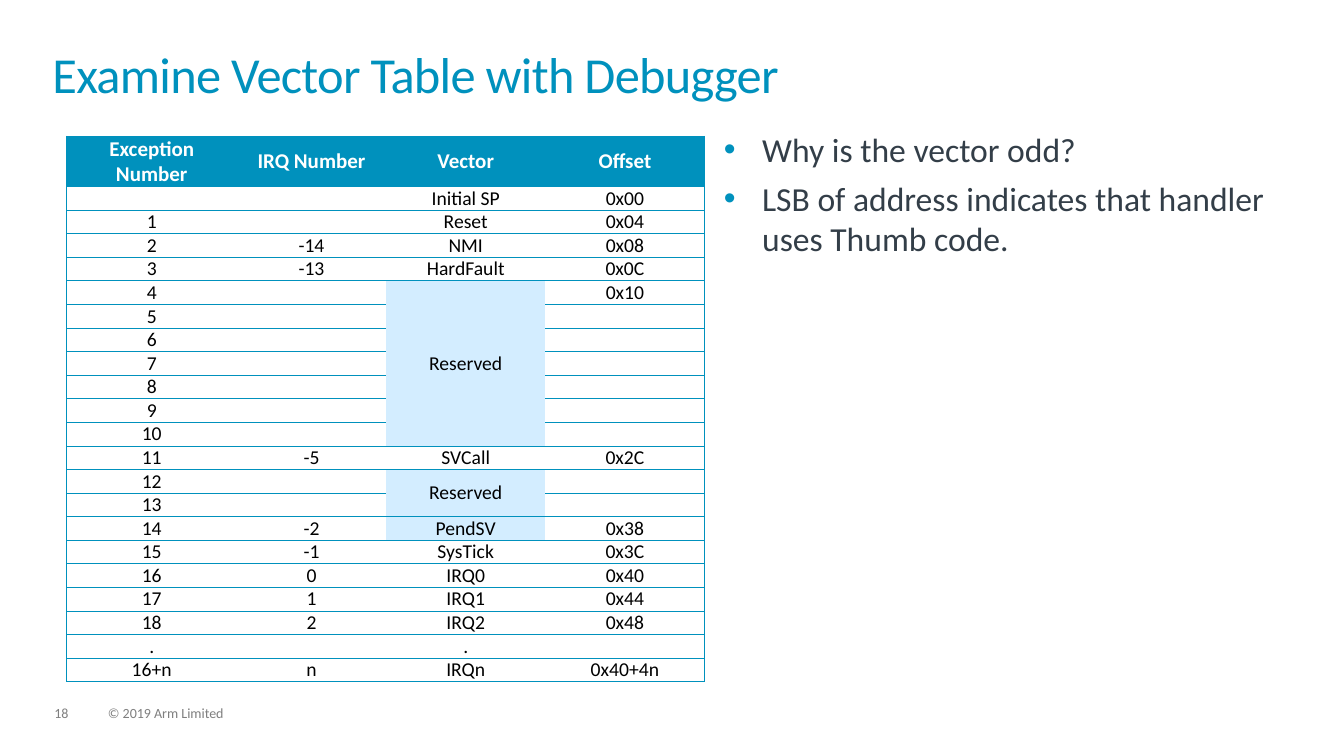
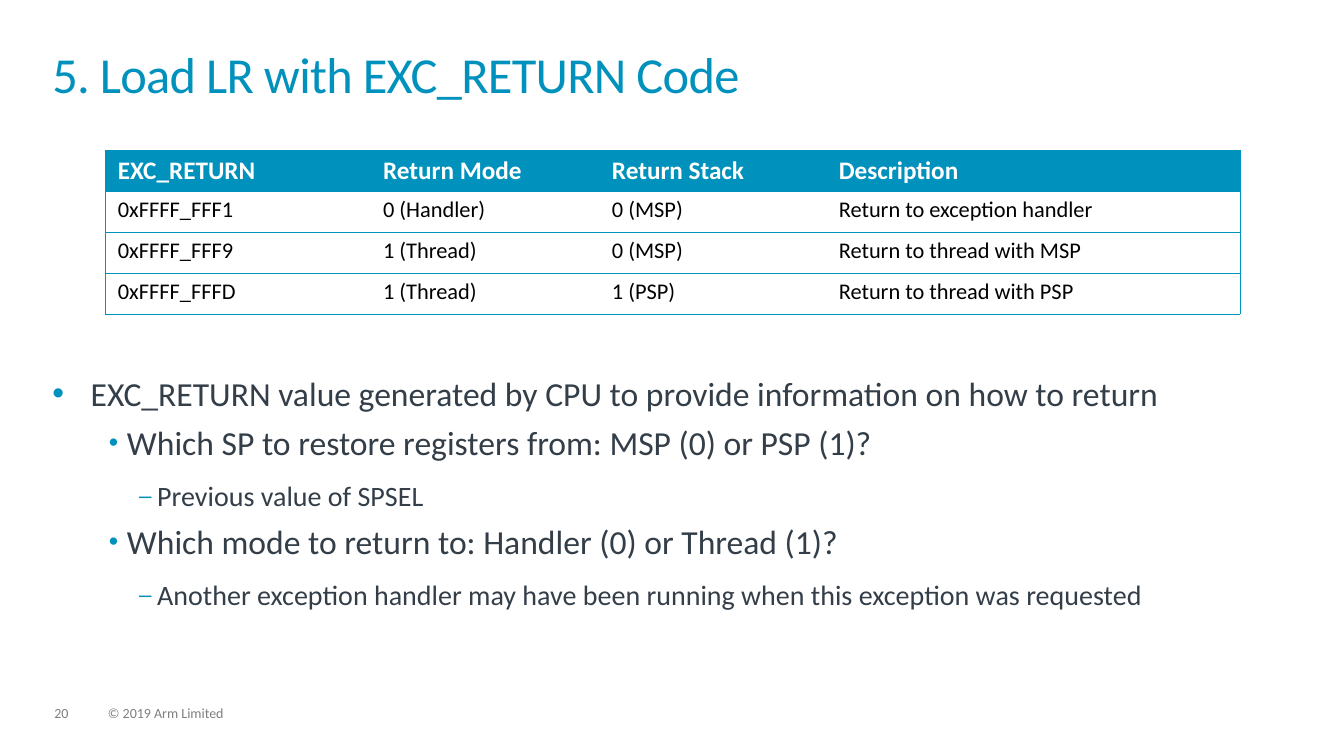
from lxml.etree import SubElement
from pptx import Presentation
from pptx.dml.color import RGBColor
from pptx.enum.text import MSO_ANCHOR as Anchor, PP_ALIGN as Align
from pptx.oxml.ns import qn
from pptx.util import Emu, Inches, Pt

BLUE, PALE, SLATE, GRAY = "0091BD", "D3EDFF", "333E48", "7F7F7F"
WHITE, BLACK = "FFFFFF", "000000"
NO_STYLE = "{2D5ABB26-0587-4C30-8999-92F81FD0307C}"

deck = Presentation()
deck.slide_width, deck.slide_height = Inches(13.33), Inches(7.5)
# Positions and sizes count columns and rows of a 100 by 100 grid.
COLUMN, ROW = deck.slide_width / 100, deck.slide_height / 100

# Bullet level: left indent and hanging indent in inches, size, sign, sign size, space after
LEVELS = [
    (0.38, 0.38, 24, "•", 100, 0),
    (0.74, 0.18, 24, "•", 80, 6),
    (1.04, 0.18, 20, "–", 80, 0),
]

vector_rows = [
    ("Exception Number", "IRQ Number", "Vector", "Offset"),
    ("", "", "Initial SP", "0x00"),
    ("1", "", "Reset", "0x04"),
    ("2", "-14", "NMI", "0x08"),
    ("3", "-13", "HardFault", "0x0C"),
    ("4", "", "Reserved", "0x10"),
    *[(str(number), "", "", "") for number in range(5, 11)],
    ("11", "-5", "SVCall", "0x2C"),
    ("12", "", "Reserved", ""),
    ("13", "", "", ""),
    ("14", "-2", "PendSV", "0x38"),
    ("15", "-1", "SysTick", "0x3C"),
    ("16", "0", "IRQ0", "0x40"),
    ("17", "1", "IRQ1", "0x44"),
    ("18", "2", "IRQ2", "0x48"),
    (".", "", ".", ""),
    ("16+n", "n", "IRQn", "0x40+4n"),
]
return_rows = [
    ("EXC_RETURN", "Return Mode", "Return Stack", "Description"),
    ("0xFFFF_FFF1", "0 (Handler)", "0 (MSP)", "Return to exception handler"),
    ("0xFFFF_FFF9", "1 (Thread)", "0 (MSP)", "Return to thread with MSP"),
    ("0xFFFF_FFFD", "1 (Thread)", "1 (PSP)", "Return to thread with PSP"),
]

slides = [
    {
        "number": "18",
        "title": "Examine Vector Table with Debugger",
        "body_at": (53.86, 17.07, 42.24, 72.13),
        "bullets": [
            (0, "Why is the vector odd?"),
            (0, "LSB of address indicates that handler uses Thumb code."),
        ],
        "rows": vector_rows,
        "table_at": (4.95, 18),
        "widths": (12.68, 11.1, 11.85, 11.85),
        "row_height": 3.07,
        "sizes": (15, 14),
        "margins": (0.1, 0),
        "align": Align.CENTER,
        "anchor": Anchor.MIDDLE,
        "merges": [(5, 11), (13, 14)],
        "shaded": [5, 13, 15],
    },
    {
        "number": "20",
        "title": "5. Load LR with EXC_RETURN Code",
        "body_at": (3.9, 49.33, 92.12, 42.93),
        "bullets": [
            (0, "EXC_RETURN value generated by CPU to provide information on how to return"),
            (1, "Which SP to restore registers from: MSP (0) or PSP (1)?"),
            (2, "Previous value of SPSEL"),
            (1, "Which mode to return to: Handler (0) or Thread (1)?"),
            (2, "Another exception handler may have been running when this exception was requested"),
        ],
        "rows": return_rows,
        "table_at": (7.8, 19.87),
        "widths": (19.73, 17.03, 16.88, 30.83),
        "row_height": 5.42,
        "sizes": (18, 16),
        "margins": (0.13, 0.05),
        "align": Align.LEFT,
        "anchor": Anchor.TOP,
        "merges": [],
        "shaded": [],
    },
]


def write(paragraph, text, size, color, bold=False):
    """Set the text of a paragraph; an empty one still takes the text size."""
    paragraph.text = text
    for span in paragraph.runs:
        span.font.name = "Calibri"
        span.font.size = Pt(size)
        span.font.bold = bold
        span.font.color.rgb = RGBColor.from_string(color)
    if not text:
        SubElement(paragraph._p, qn("a:endParaRPr"), sz=str(size * 100))


def add_frame(page, left, top, width, height):
    """Add a wrapping text box without margins, placed on the grid."""
    box = page.shapes.add_textbox(
        Emu(round(left * COLUMN)), Emu(round(top * ROW)),
        Emu(round(width * COLUMN)), Emu(round(height * ROW)))
    frame = box.text_frame
    frame.word_wrap = True
    frame.margin_left = frame.margin_right = frame.margin_top = frame.margin_bottom = 0
    return frame


for content in slides:
    page = deck.slides.add_slide(deck.slide_layouts[6])

    # Footer and title
    for left, width, text in [(4.05, 2.55, content["number"]),
                              (8.03, 38.03, "© 2019 Arm Limited")]:
        para = add_frame(page, left, 93.47, width, 2).paragraphs[0]
        write(para, text, 10, GRAY)
        para.line_spacing = 0.9
    para = add_frame(page, 3.9, 6.93, 92.12, 9.6).paragraphs[0]
    write(para, content["title"], 36, BLUE)
    para.line_spacing = 0.85
    para.runs[0].font._element.set("spc", "-50")

    # Bullets
    frame = add_frame(page, *content["body_at"])
    for index, (level, text) in enumerate(content["bullets"]):
        para = frame.add_paragraph() if index else frame.paragraphs[0]
        indent, hanging, size, sign, sign_size, space_after = LEVELS[level]
        properties = para._p.get_or_add_pPr()
        properties.set("marL", str(Inches(indent)))
        properties.set("indent", str(-Inches(hanging)))
        SubElement(SubElement(properties, qn("a:buClr")), qn("a:srgbClr"), val=BLUE)
        SubElement(properties, qn("a:buSzPct"), val=str(sign_size * 1000))
        SubElement(properties, qn("a:buFont"), typeface="Arial")
        SubElement(properties, qn("a:buChar"), char=sign)
        para.level = level
        para.space_before = Pt(6 if index else 0)
        para.space_after = Pt(space_after)
        write(para, text, size, SLATE)

    # Table
    rows, widths = content["rows"], content["widths"]
    left, top = content["table_at"]
    row_height = Emu(round(content["row_height"] * ROW))
    table = page.shapes.add_table(
        len(rows), len(widths), Emu(round(left * COLUMN)), Emu(round(top * ROW)),
        Emu(round(sum(widths) * COLUMN)), row_height * len(rows)).table
    table.horz_banding = False
    table._tbl.tblPr.find(qn("a:tableStyleId")).text = NO_STYLE
    for column, width in zip(table.columns, widths):
        column.width = Emu(round(width * COLUMN))
    for first, last in content["merges"]:
        table.cell(first, 2).merge(table.cell(last, 2))

    header_size, cell_size = content["sizes"]
    for y, texts in enumerate(rows):
        table.rows[y].height = row_height
        for x, text in enumerate(texts):
            cell = table.cell(y, x)
            cell.margin_left = cell.margin_right = Inches(content["margins"][0])
            cell.margin_top = cell.margin_bottom = Inches(content["margins"][1])
            cell.vertical_anchor = content["anchor"]
            para = cell.text_frame.paragraphs[0]
            para.alignment = content["align"]
            if y == 0:
                write(para, text, header_size, WHITE, bold=True)
            else:
                write(para, text, cell_size, BLACK)

            # Outline the table and rule its rows, but not above merged cells
            merged = cell.is_merge_origin or cell.is_spanned
            edges = {"a:lnL": x == 0, "a:lnR": x == len(widths) - 1,
                     "a:lnT": not merged, "a:lnB": y == len(rows) - 1}
            for tag, visible in edges.items():
                if visible:
                    line = SubElement(cell._tc.get_or_add_tcPr(), qn(tag), w=str(Pt(0.5)))
                    fill = SubElement(line, qn("a:solidFill"))
                    SubElement(fill, qn("a:srgbClr"), val=BLUE)

            if y == 0 or (x == 2 and y in content["shaded"]):
                cell.fill.solid()
                cell.fill.fore_color.rgb = RGBColor.from_string(PALE if y else BLUE)
            else:
                cell.fill.background()

deck.save("out.pptx")
